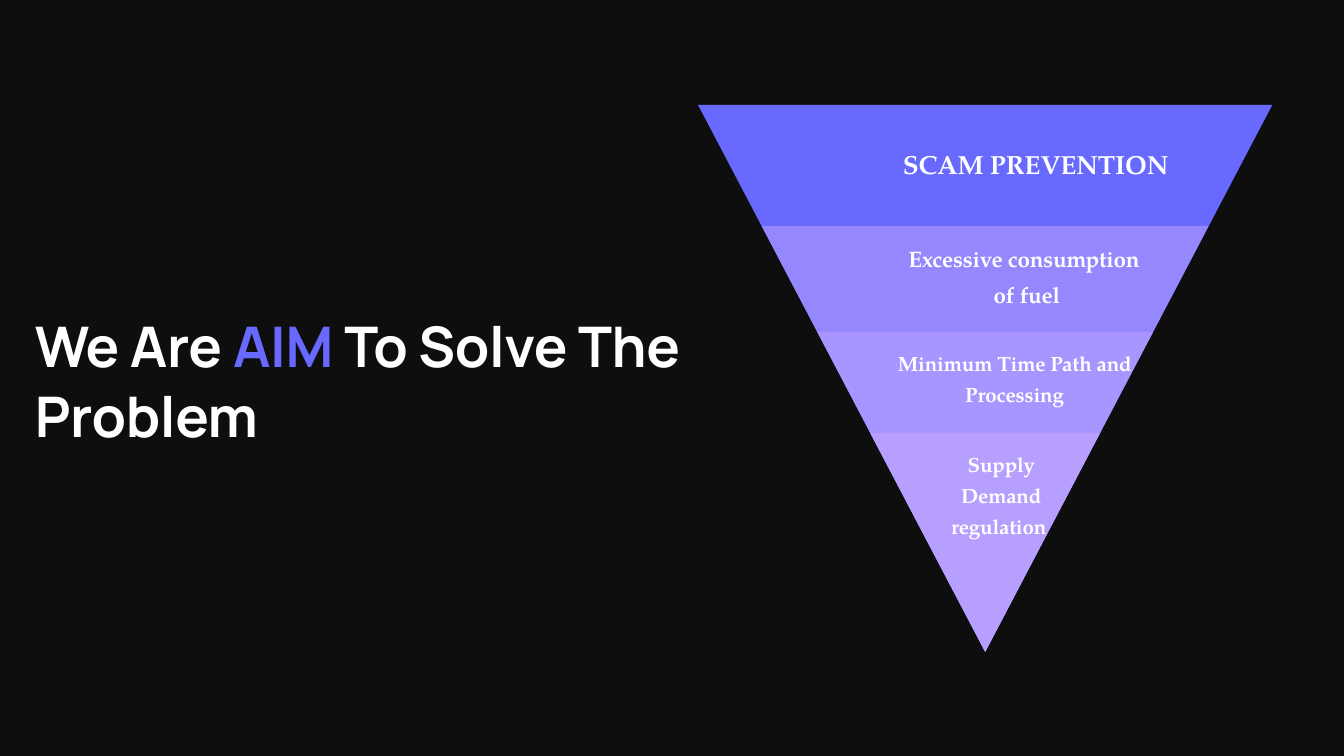
from lxml.etree import SubElement
from pptx import Presentation
from pptx.dml.color import RGBColor
from pptx.enum.shapes import MSO_SHAPE as Shape
from pptx.enum.text import MSO_ANCHOR as Anchor, PP_ALIGN as Align
from pptx.oxml.ns import qn
from pptx.util import Inches, Pt

COLORS = {"background": "0E0E0E", "accent": "6769FF", "lilac": "B79FFF", "white": "FFFFFF"}

TITLE = [[("We Are ", "white"), ("AIM", "accent"), (" To Solve The Problem", "white")]]
TIERS = [
    {"height": 4.07, "color": "accent", "alpha": 100, "lines": ["SCAM PREVENTION "],
     "box": (5.73, 1.04, 4, 0.3), "size": 14, "spacing": 21.6},
    {"height": 3.17, "color": "lilac", "alpha": 58, "lines": ["Excessive consumption ", "of fuel"],
     "box": (6.14, 1.76, 3, 0.53), "size": 12, "spacing": 19.2},
    {"height": 2.38, "color": "lilac", "alpha": 58, "lines": ["Minimum Time Path and Processing"],
     "box": (6.55, 2.56, 2, 0.47), "size": 11, "spacing": 16.8},
    {"height": 1.63, "color": "lilac", "alpha": 100, "lines": ["Supply Demand regulation "],
     "box": (6.95, 3.31, 1, 0.7), "size": 11, "spacing": 16.8},
]
SLIDE_WIDTH = 10
TIP_X, TIP_Y = 7.33, 4.85
WIDTH_RATIO = 1.05


def rgb(name):
    return RGBColor.from_string(COLORS[name])


def add_text(slide, paragraphs, box, size, spacing, font="TeX Gyre Pagella",
             align=Align.CENTER, anchor=Anchor.MIDDLE, tracking=-0.1):
    frame = slide.shapes.add_textbox(*map(Inches, box)).text_frame
    frame.word_wrap = True
    frame.vertical_anchor = anchor
    frame.margin_left = frame.margin_right = frame.margin_top = frame.margin_bottom = 0
    for index, runs in enumerate(paragraphs):
        paragraph = frame.add_paragraph() if index else frame.paragraphs[0]
        paragraph.alignment = align
        paragraph.line_spacing = Pt(spacing)
        for text, color in runs:
            run = paragraph.add_run()
            run.text = text
            run.font.name = font
            run.font.size = Pt(size)
            run.font.bold = True
            run.font.color.rgb = rgb(color)
            run._r.get_or_add_rPr().set("spc", str(round(tracking * 100)))


def add_triangle(slide, height, color, alpha):
    width = height * WIDTH_RATIO
    box = (TIP_X - width / 2, TIP_Y - height, width, height)
    shape = slide.shapes.add_shape(Shape.ISOSCELES_TRIANGLE, *map(Inches, box))
    shape.rotation = 180
    shape.shadow.inherit = False
    shape.line.fill.background()
    shape.fill.solid()
    shape.fill.fore_color.rgb = rgb(color)
    if alpha < 100:
        fill_color = shape._element.spPr.find(qn("a:solidFill")).find(qn("a:srgbClr"))
        SubElement(fill_color, qn("a:alpha")).set("val", str(alpha * 1000))


def main():
    presentation = Presentation()
    presentation.slide_width = Inches(SLIDE_WIDTH)
    presentation.slide_height = Inches(SLIDE_WIDTH * 9 / 16)
    slide = presentation.slides.add_slide(presentation.slide_layouts[6])
    slide.background.fill.solid()
    slide.background.fill.fore_color.rgb = rgb("background")

    for tier in TIERS:
        add_triangle(slide, tier["height"], tier["color"], tier["alpha"])
    for tier in TIERS:
        add_text(slide, [[(line, "white")] for line in tier["lines"]], tier["box"],
                 size=tier["size"], spacing=tier["spacing"])
    add_text(slide, TITLE, (0.26, 2.3, 5, 1.04), size=30, spacing=37.5, font="Manrope",
             align=Align.LEFT, anchor=Anchor.BOTTOM, tracking=-0.2)

    presentation.save("out.pptx")


if __name__ == "__main__":
    main()
